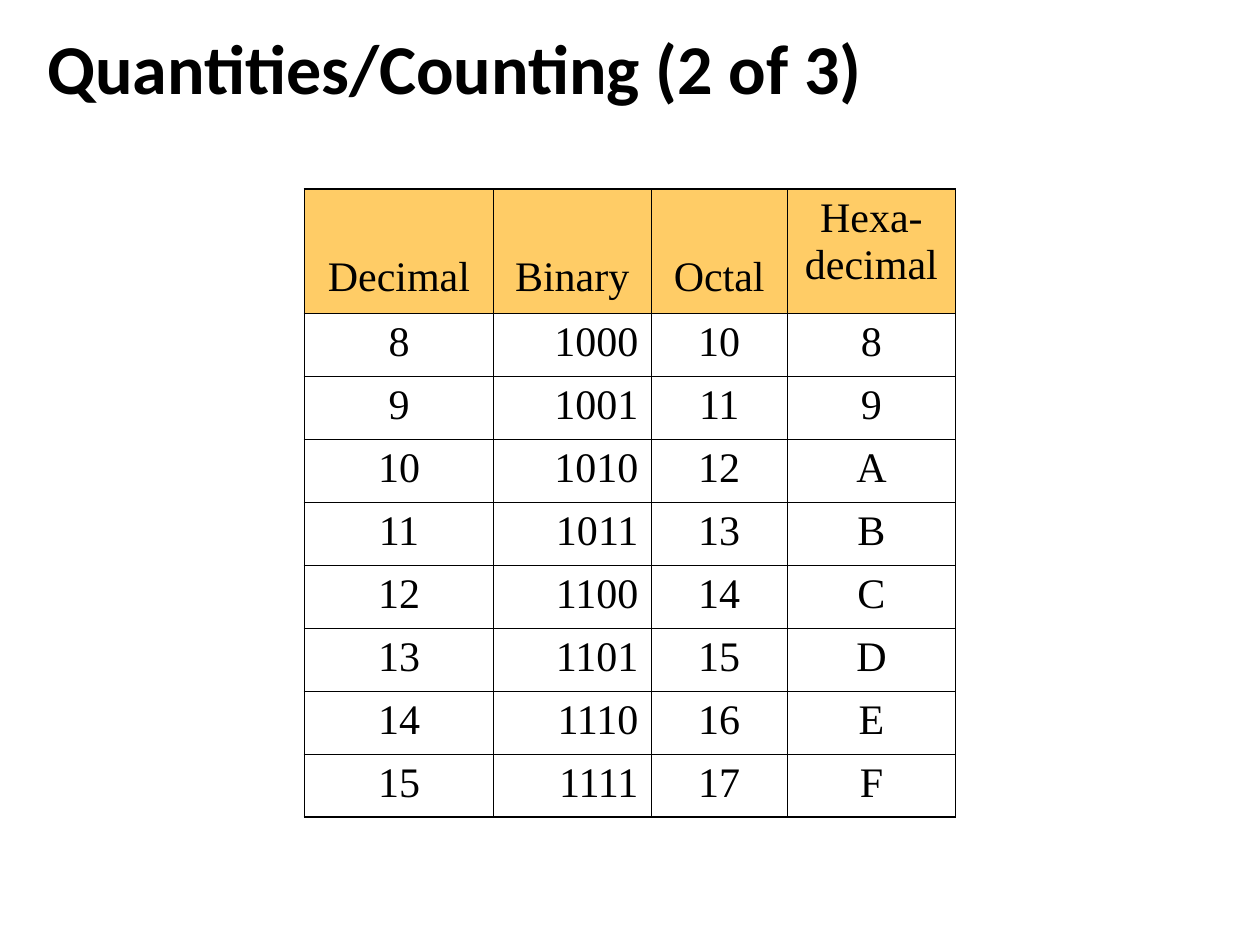
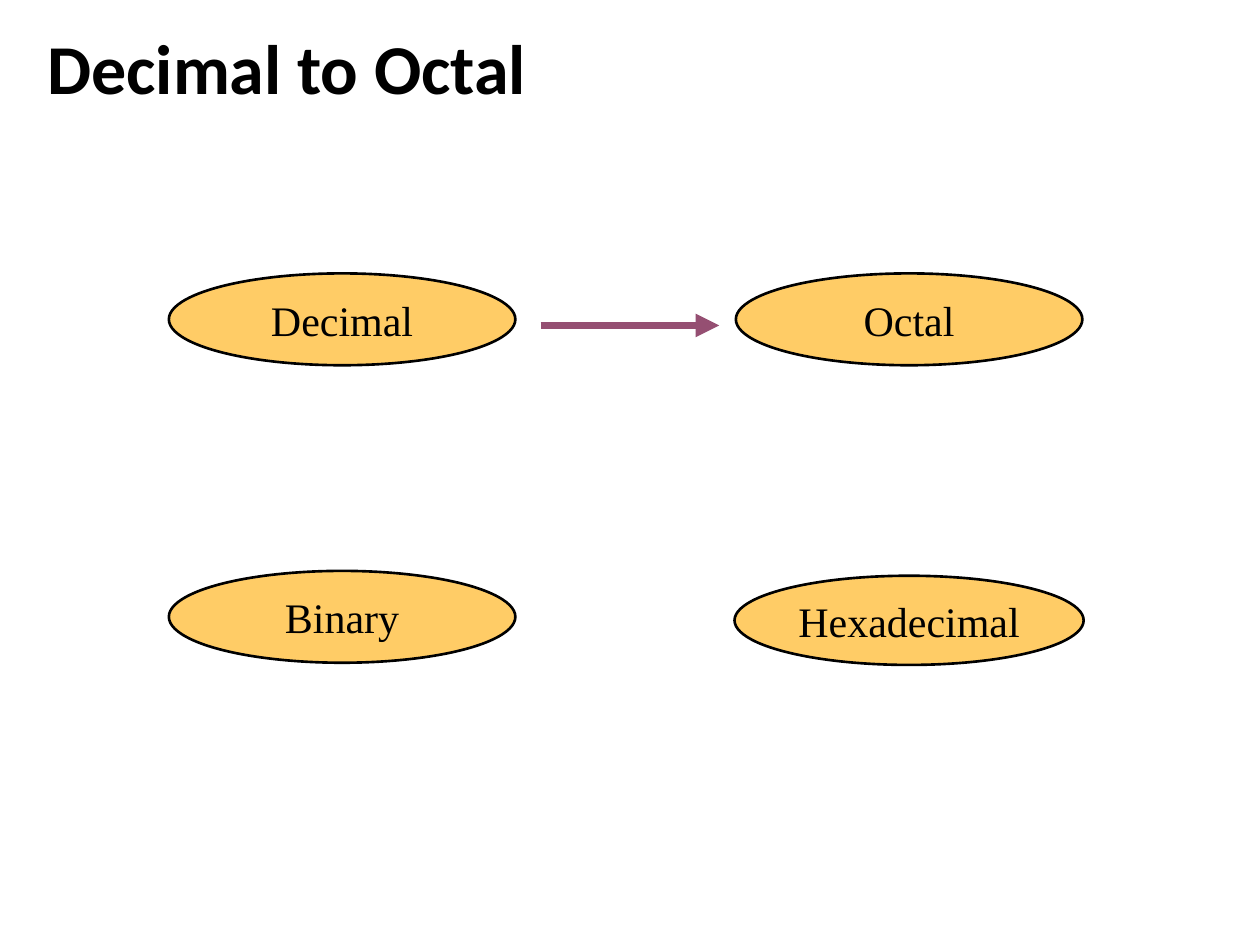
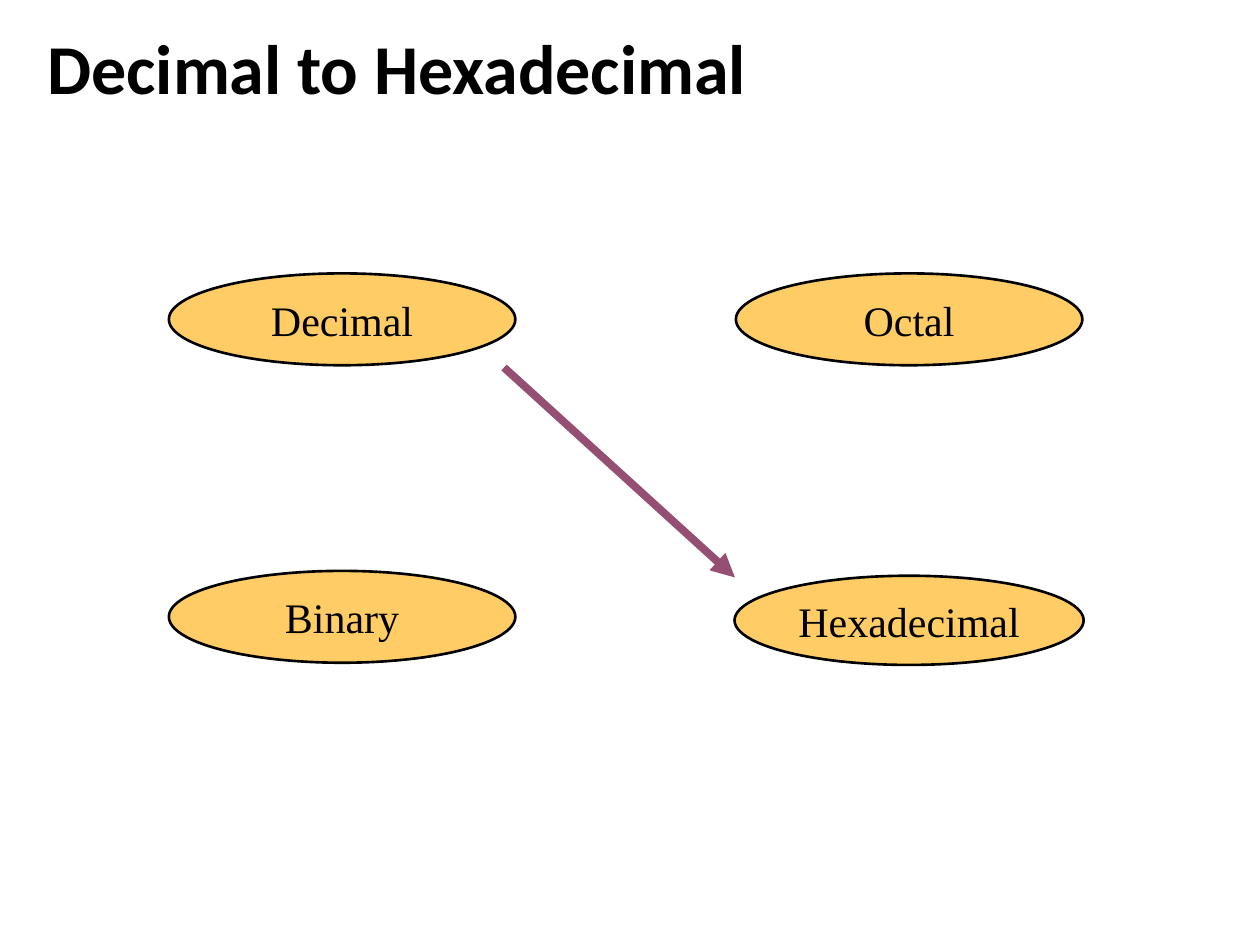
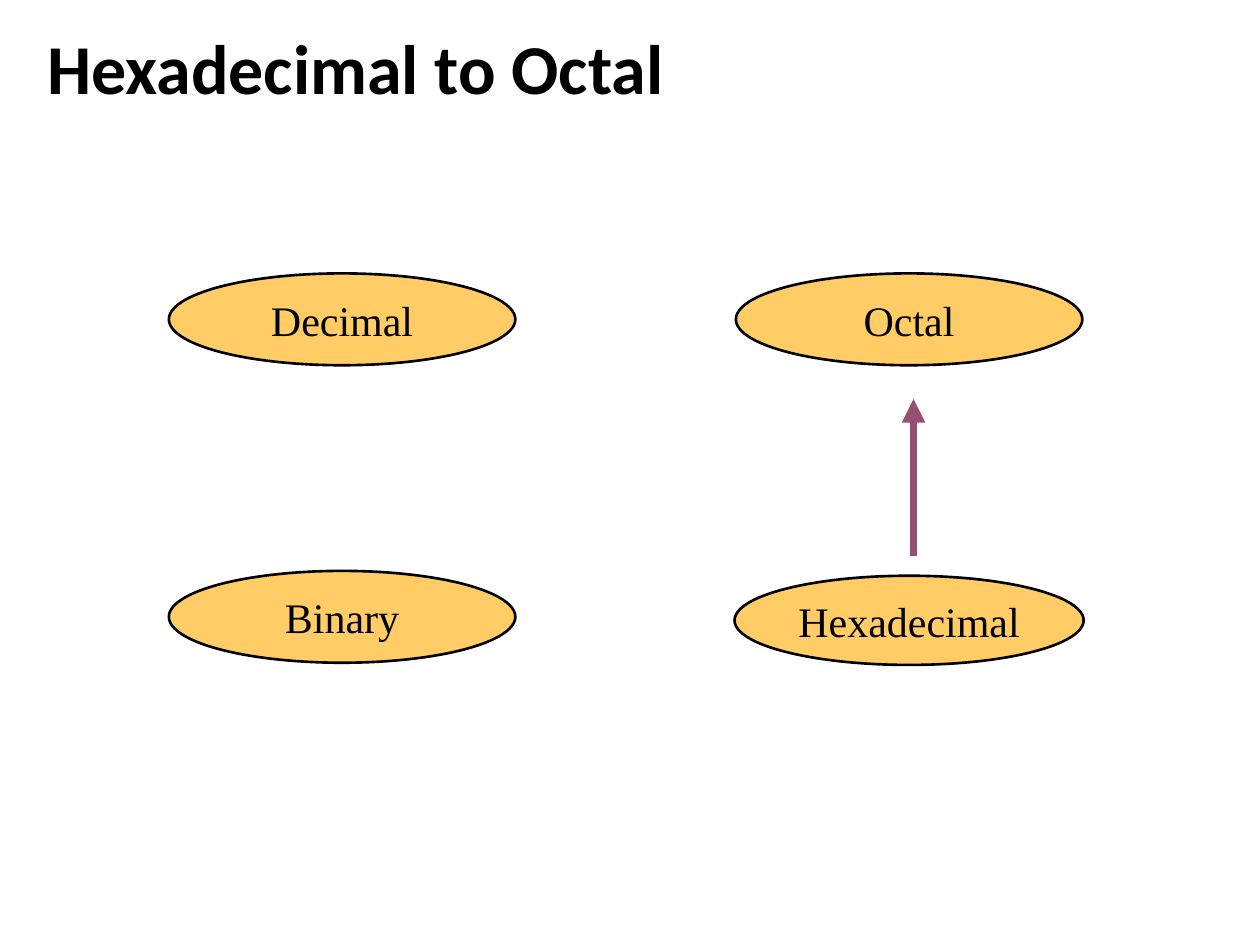
from lxml.etree import SubElement
from pptx import Presentation
from pptx.dml.color import RGBColor
from pptx.enum.shapes import MSO_CONNECTOR as Connector, MSO_SHAPE as Shape
from pptx.enum.text import MSO_ANCHOR as Anchor, PP_ALIGN as Align
from pptx.oxml import parse_xml
from pptx.oxml.ns import nsdecls, qn
from pptx.util import Pt

COLORS = {"text": "000000", "fill": "FFCC66", "arrow": "954F72"}
BODY_FONT = "Times New Roman"
TITLE_FONT = "Calibri"
LINE_HEIGHT = 27.6
SPACE_BEFORE = 6
CELL_MARGIN = 3.6
THIN, THICK = 0.45, 1.08

SYSTEMS = [
    ("Hexadecimal", (419.75, 329, 199.5, 51)),
    ("Decimal", (96.5, 156.25, 198, 52.5)),
    ("Octal", (420.5, 156.25, 198, 52.5)),
    ("Binary", (96.5, 326.25, 198, 52.5)),
]
CONVERSIONS = [
    ("Decimal to Octal", (309, 186), (411, 186)),
    ("Decimal to Hexadecimal", (288, 210), (420, 330)),
    ("Hexadecimal to Octal", (522, 318), (522, 228)),
]


def color(name):
    return RGBColor.from_string(COLORS[name])


def write(frame, text, size=24, font=BODY_FONT, bold=False, align=Align.CENTER,
          spacing=None, before=None):
    para = frame.paragraphs[0]
    para.alignment = align
    para.line_spacing = spacing
    if before is not None:
        para.space_before = Pt(before)
    for index, line in enumerate(text.split("\n")):
        if index:
            para.add_line_break()
        span = para.add_run()
        span.text = line
        span.font.size = Pt(size)
        span.font.name = font
        span.font.bold = bold
        span.font.color.rgb = color("text")


def set_borders(cell, widths):
    properties = cell._tc.get_or_add_tcPr()
    for index, (side, width) in enumerate(widths.items()):
        border = parse_xml(
            f'<a:ln{side} {nsdecls("a")} w="{Pt(width)}"><a:solidFill>'
            f'<a:srgbClr val="{COLORS["text"]}"/></a:solidFill></a:ln{side}>')
        properties.insert(index, border)


class Deck:
    def __init__(self):
        self.deck = Presentation()
        self.deck.slide_width = Pt(720)
        self.deck.slide_height = Pt(540)
        self.page = None

    def add_page(self, title):
        self.page = self.deck.slides.add_slide(self.deck.slide_layouts[6])
        box = self.page.shapes.add_textbox(Pt(20), Pt(0), Pt(673), Pt(82))
        frame = box.text_frame
        frame.word_wrap = True
        frame.vertical_anchor = Anchor.MIDDLE
        write(frame, title, size=40, font=TITLE_FONT, bold=True,
              align=Align.LEFT, spacing=0.9)

    def add_ellipse(self, text, bounds):
        ellipse = self.page.shapes.add_shape(Shape.OVAL, *map(Pt, bounds))
        ellipse.shadow.inherit = False
        ellipse.fill.solid()
        ellipse.fill.fore_color.rgb = color("fill")
        ellipse.line.color.rgb = color("text")
        ellipse.line.width = Pt(1.5)
        frame = ellipse.text_frame
        frame.word_wrap = False
        frame.vertical_anchor = Anchor.MIDDLE
        write(frame, text)

    def add_arrow(self, start, end):
        arrow = self.page.shapes.add_connector(
            Connector.STRAIGHT, *map(Pt, start + end))
        arrow.line.color.rgb = color("arrow")
        arrow.line.width = Pt(4.5)
        SubElement(arrow.line._get_or_add_ln(), qn("a:tailEnd"), type="triangle")
        SubElement(arrow._element.spPr, qn("a:effectLst"))

    def add_table(self, rows, left, top, widths, heights, aligns):
        table = self.page.shapes.add_table(
            len(rows), len(widths), Pt(left), Pt(top),
            Pt(sum(widths)), Pt(sum(heights))).table
        table.first_row = False
        table.horz_banding = False
        for column, width in zip(table.columns, widths):
            column.width = Pt(width)
        for row, height in zip(table.rows, heights):
            row.height = Pt(height)
        last_row, last_column = len(rows) - 1, len(widths) - 1
        for r, values in enumerate(rows):
            for c, value in enumerate(values):
                cell = table.cell(r, c)
                header = r == 0
                if header:
                    cell.fill.solid()
                    cell.fill.fore_color.rgb = color("fill")
                else:
                    cell.fill.background()
                if header and "\n" not in value:
                    cell.margin_top = Pt(CELL_MARGIN + LINE_HEIGHT + SPACE_BEFORE)
                write(cell.text_frame, value, before=SPACE_BEFORE,
                      align=Align.CENTER if header else aligns[c])
                set_borders(cell, {
                    "L": THICK if c == 0 else THIN,
                    "R": THICK if c == last_column else THIN,
                    "T": THICK if header else THIN,
                    "B": THICK if r == last_row else THIN,
                })


def main():
    slides = Deck()
    slides.add_page("Quantities/Counting (2 of 3)")
    rows = [("Decimal", "Binary", "Octal", "Hexa-\ndecimal")]
    rows += [(f"{n}", f"{n:b}", f"{n:o}", f"{n:X}") for n in range(8, 16)]
    slides.add_table(
        rows, 174, 108, widths=[108, 90, 78, 96], heights=[70.8] + [36] * 8,
        aligns=[Align.CENTER, Align.RIGHT, Align.CENTER, Align.CENTER])
    for title, start, end in CONVERSIONS:
        slides.add_page(title)
        for name, bounds in SYSTEMS:
            slides.add_ellipse(name, bounds)
        slides.add_arrow(start, end)
    slides.deck.save("out.pptx")


if __name__ == "__main__":
    main()
